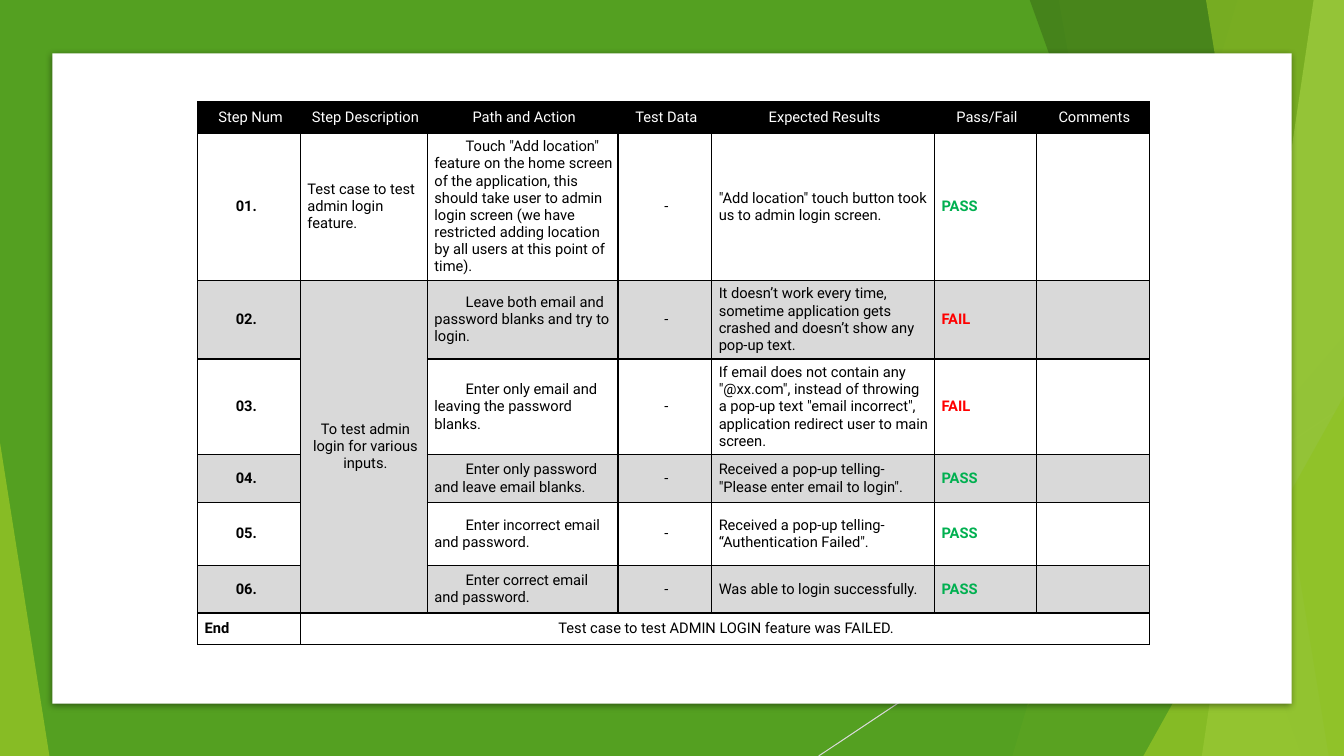
"""Build the admin login test case slide."""
import pptx
import pptx.dml.color
import pptx.enum.shapes
import pptx.enum.text
import pptx.oxml
import pptx.oxml.ns
import pptx.util
from lxml import etree

HEADINGS = ["Step Num", "Step Description", "Path and Action", "Test Data",
            "Expected Results", "Pass/Fail", "Comments"]
STEPS = [
    ("01.", "Test case to test admin login feature.",
     "Touch \"Add location\" feature on the home screen of the application, this should take user "
     "to admin login screen (we have restricted adding location by all users at this point of time).",
     "-", "\"Add location\" touch button took us to admin login screen.", "PASS", ""),
    ("02.", "To test admin login for various inputs.",
     "Leave both email and password blanks and try to login.", "-",
     "It doesn’t work every time, sometime application gets crashed and doesn’t show any pop-up text.",
     "FAIL", ""),
    ("03.", "", "Enter only email and leaving the password blanks.", "-",
     "If email does not contain any \"@xx.com\", instead of throwing a pop-up text "
     "\"email incorrect\", application redirect user to main screen.", "FAIL", ""),
    ("04.", "", "Enter only password and leave email blanks.", "-",
     "Received a pop-up telling- \"Please enter email to login\".", "PASS", ""),
    ("05.", "", "Enter incorrect email and password.", "-",
     "Received a pop-up telling- “Authentication Failed\".", "PASS", ""),
    ("06.", "", "Enter correct email and password.", "-",
     "Was able to login successfully.", "PASS", ""),
]
VERDICT = ("End", "Test case to test ADMIN LOGIN feature was FAILED.", "", "", "", "", "")
COLUMNS = [1.02, 1.26, 1.89, 0.93, 2.21, 1.01, 1.12]
ROWS = [0.31, 1.27, 0.63, 0.95, 0.47, 0.63, 0.47, 0.31]
TABLE_LEFT, TABLE_TOP = 1.96, 1.01
WIDTH, HEIGHT = 13.33, 7.5

COLORS = {"black": "000000", "white": "FFFFFF", "band": "D9D9D9", "leaf": "54A021",
          "lime": "90C226", "forest": "3F7819", "pale": "C0E474",
          "PASS": "00B050", "FAIL": "FF0000"}
FACETS = [
    ("band", (12.28, WIDTH, WIDTH, 10.04), "lime", 30),
    ("band", (10.5, WIDTH, WIDTH, 11.83), "lime", 20),
    ("triangle", (9.77, 3.33, 3.56, 1), "leaf", 72),
    ("band", (10.21, WIDTH, WIDTH, 12.91), "forest", 70),
    ("band", (13.03, WIDTH, WIDTH, 11.92), "pale", 70),
    ("band", (11.96, WIDTH, WIDTH, 13.18), "lime", 65),
    ("triangle", (11.34, 3.93, 1.99, 1), "lime", 80),
    ("triangle", (0, 4.39, 0.49, 0), "lime", 85),
]

SHAPE = pptx.enum.shapes.MSO_SHAPE
ALIGN = pptx.enum.text.PP_ALIGN
inch = pptx.util.Inches
qn = pptx.oxml.ns.qn
INSETS = {"margin_left": inch(0.07), "margin_top": inch(0.05), "margin_right": inch(0.04),
          "margin_bottom": inch(0.05), "vertical_anchor": pptx.enum.text.MSO_ANCHOR.MIDDLE}
FONT = {"name": "Roboto", "size": pptx.util.Pt(10.5)}


def rgb(color):
    return pptx.dml.color.RGBColor.from_string(COLORS[color])


def assign(target, values):
    for key, value in values.items():
        setattr(target, key, value)


def paint(part, color, opacity=100):
    part.shadow.inherit = False
    part.line.fill.background()
    part.fill.solid()
    part.fill.fore_color.rgb = rgb(color)
    if opacity < 100:
        tint = part.fill._xPr.find(".//" + qn("a:srgbClr"))
        etree.SubElement(tint, qn("a:alpha"), val=str(opacity * 1000))


def add_block(shapes, kind, left, top, width, height):
    return shapes.add_shape(kind, inch(left), inch(top), inch(width), inch(height))


def add_facet(shapes, kind, geometry, color, opacity):
    if kind == "triangle":
        left, top, width, apex = geometry
        facet = add_block(shapes, SHAPE.ISOSCELES_TRIANGLE, left, top, width, HEIGHT - top)
        facet.adjustments[0] = apex
    else:
        corners = [(inch(x), inch(y)) for x, y in zip(geometry, (-0.01, -0.01, HEIGHT, HEIGHT))]
        outline = shapes.build_freeform(*corners[0])
        outline.add_line_segments(corners[1:], close=True)
        facet = outline.convert_to_shape()
    paint(facet, color, opacity)


def add_backdrop(shapes):
    paint(add_block(shapes, SHAPE.RECTANGLE, 0, 0, WIDTH, HEIGHT), "leaf")
    streak = shapes.add_connector(pptx.enum.shapes.MSO_CONNECTOR.STRAIGHT,
                                  inch(WIDTH), inch(4.03), inch(8.12), inch(HEIGHT))
    streak.line.color.rgb = rgb("band")
    streak.line.width = pptx.util.Pt(0.75)
    etree.SubElement(streak._element.spPr, qn("a:effectLst"))
    for facet in FACETS:
        add_facet(shapes, *facet)
    panel = add_block(shapes, SHAPE.RECTANGLE, 0.52, 0.53, 12.29, 6.45)
    paint(panel, "white")
    shadow = etree.SubElement(panel._element.spPr.find(qn("a:effectLst")), qn("a:outerShdw"),
                              blurRad=str(pptx.util.Pt(5)), dist=str(pptx.util.Pt(1.4)),
                              dir="5400000", algn="t", rotWithShape="0")
    shade = etree.SubElement(shadow, qn("a:srgbClr"), val=COLORS["black"])
    etree.SubElement(shade, qn("a:alpha"), val="43000")


def add_borders(cell):
    properties = cell._tc.get_or_add_tcPr()
    for side in ("lnL", "lnR", "lnT", "lnB"):
        edge = etree.SubElement(properties, qn("a:" + side), w=str(pptx.util.Pt(1)))
        ink = etree.SubElement(edge, qn("a:solidFill"))
        etree.SubElement(ink, qn("a:srgbClr"), val=COLORS["black"])


def fill_cell(cell, text, row, column):
    last = len(ROWS) - 1
    heading, step = row == 0, 0 < row < last
    assign(cell, INSETS)
    add_borders(cell)
    if heading or (step and (row % 2 == 0 or (column == 1 and row > 1))):
        cell.fill.solid()
        cell.fill.fore_color.rgb = rgb("black" if heading else "band")
    else:
        cell.fill.background()
    paragraph = cell.text_frame.paragraphs[0]
    if not text:
        etree.SubElement(paragraph._p, qn("a:endParaRPr"), sz="1050")
        return
    if heading or column == 3 or (column == 1 and row > 1):
        paragraph.alignment = ALIGN.CENTER
    elif step and column in (0, 2):
        assign_indent = paragraph._p.get_or_add_pPr()
        assign_indent.set("marL", "0")
        assign_indent.set("indent", str(inch(0.31)))
    run = paragraph.add_run()
    run.text = text
    assign(run.font, {**FONT, "bold": not heading and column in (0, 5)})
    run.font.color.rgb = rgb("white" if heading else text if text in COLORS else "black")


def add_test_table(shapes):
    table = shapes.add_table(len(ROWS), len(COLUMNS), inch(TABLE_LEFT), inch(TABLE_TOP),
                             inch(sum(COLUMNS)), inch(sum(ROWS))).table
    assign(table, {"first_row": False, "horz_banding": False})
    for column, width in zip(table.columns, COLUMNS):
        column.width = inch(width)
    for row, height in zip(table.rows, ROWS):
        row.height = inch(height)
    for row, texts in enumerate([HEADINGS, *STEPS, VERDICT]):
        for column, text in enumerate(texts):
            fill_cell(table.cell(row, column), text, row, column)
    last = len(ROWS) - 1
    table.cell(2, 1).merge(table.cell(last - 1, 1))
    table.cell(last, 1).merge(table.cell(last, len(COLUMNS) - 1))


def main():
    deck = pptx.Presentation()
    assign(deck, {"slide_width": inch(WIDTH), "slide_height": inch(HEIGHT)})
    shapes = deck.slides.add_slide(deck.slide_layouts[6]).shapes
    add_backdrop(shapes)
    add_test_table(shapes)
    deck.save("out.pptx")


if __name__ == "__main__":
    main()
